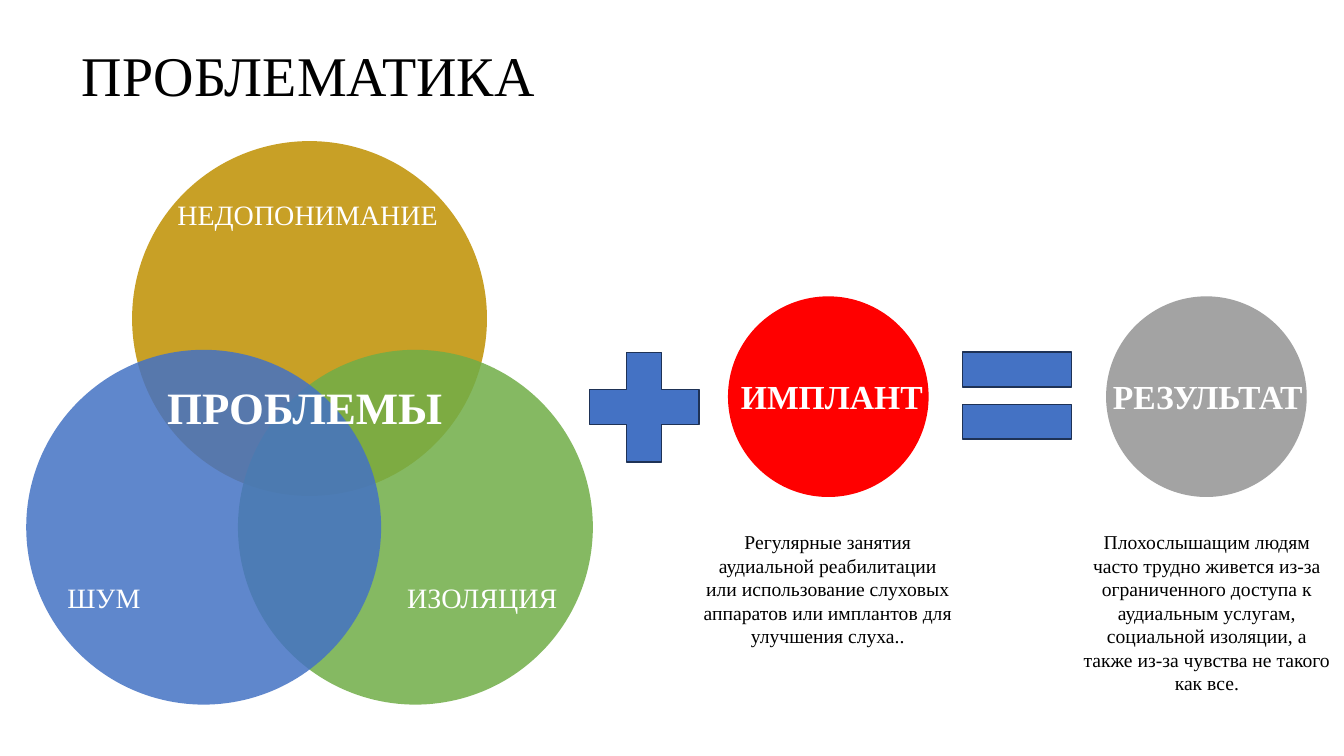
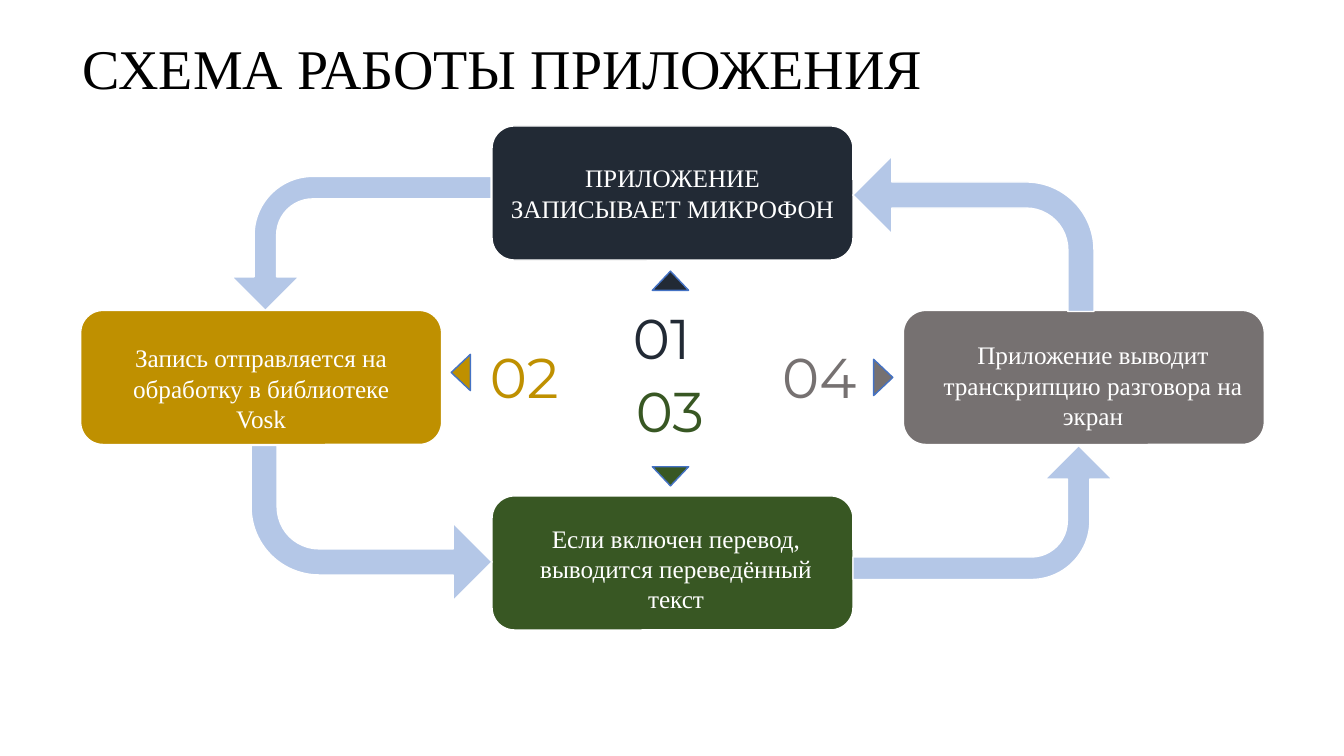
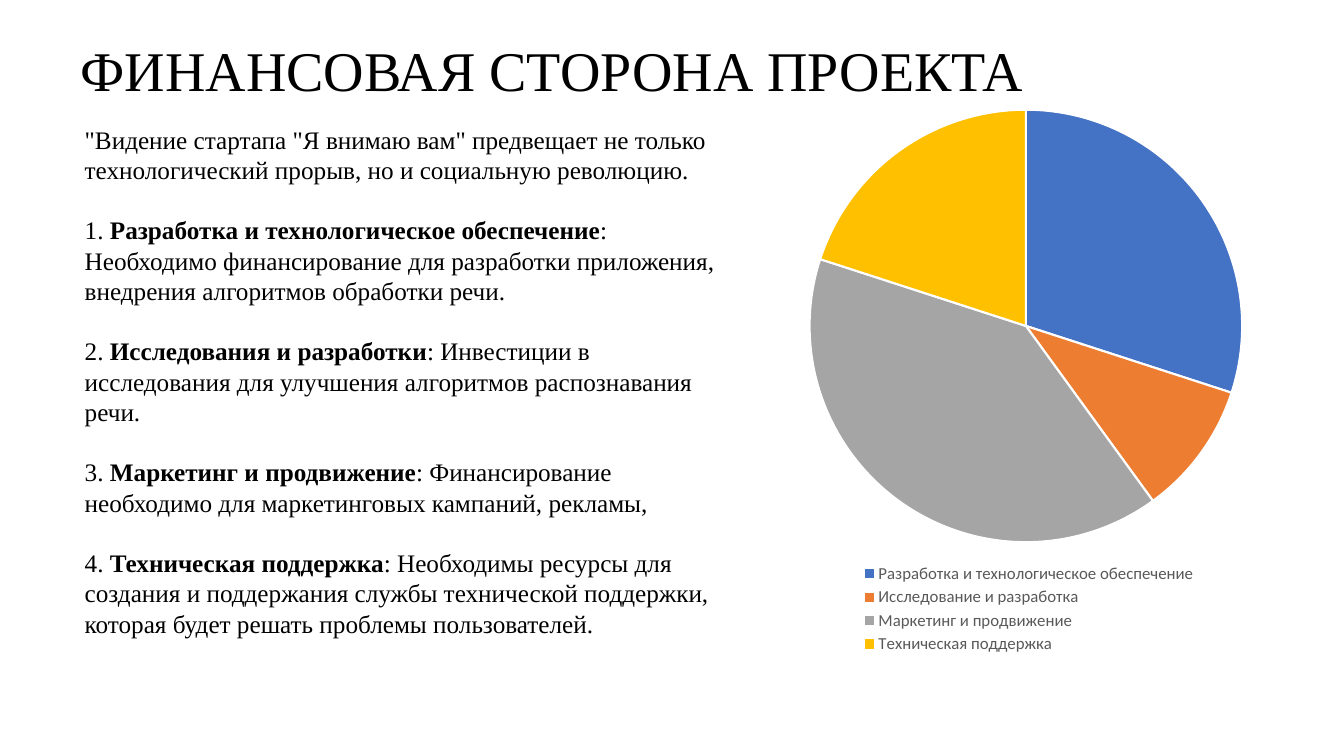
from dataclasses import dataclass
from typing import NamedTuple

from lxml import etree
from pptx import Presentation
from pptx.chart.data import CategoryChartData
from pptx.dml.color import RGBColor
from pptx.enum.chart import XL_CHART_TYPE, XL_LEGEND_POSITION
from pptx.enum.shapes import MSO_SHAPE
from pptx.enum.text import MSO_ANCHOR, MSO_AUTO_SIZE, PP_ALIGN
from pptx.oxml.ns import qn
from pptx.util import Emu, Pt

PX = 9144  # EMU per px, 100 px to the inch
ELLIPSE, ROUNDED = MSO_SHAPE.OVAL, MSO_SHAPE.ROUNDED_RECTANGLE
PLUS, EQUAL = MSO_SHAPE.MATH_PLUS, MSO_SHAPE.MATH_EQUAL
BENT_ARROW, TRIANGLE = MSO_SHAPE.BENT_ARROW, MSO_SHAPE.ISOSCELES_TRIANGLE
LEFT, CENTER = PP_ALIGN.LEFT, PP_ALIGN.CENTER
TOP, MIDDLE = MSO_ANCHOR.TOP, MSO_ANCHOR.MIDDLE

SERIF, NUMERAL_FONT, CHART_FONT = "Times New Roman", "Montserrat", "Calibri"
BLACK, WHITE, GREY_TEXT = "000000", "FFFFFF", "595959"
BLUE, DARK_BLUE, PALE_BLUE = "4472C4", "1E3256", "B4C7E7"
GOLD, GREEN, RED, GREY = "BF9000", "70AD47", "FF0000", "7C7C7C"
NAVY, FOREST, STONE = "222A35", "385723", "767171"
PIE_COLOURS = (BLUE, "ED7D31", "A5A5A5", "FFC000")


class Rect(NamedTuple):
    left: int
    top: int
    width: int
    height: int


@dataclass
class Style:
    size: int
    colour: str = WHITE
    font: str = SERIF
    bold: bool = False
    align: PP_ALIGN = LEFT


@dataclass
class Disc:
    rect: Rect
    colour: str
    opacity: int = 100


@dataclass
class Label:
    rect: Rect
    text: str
    style: Style


@dataclass
class Step:
    """One card of the cycle with its number and pointer; no label means text inside."""
    number: str
    colour: str
    left: int
    top: int
    text: str
    label: Rect | None
    number_rect: Rect
    pointer: Rect
    pointer_turn: int


@dataclass
class Turn:
    rect: Rect
    rotation: int


@dataclass
class Expense:
    lead: str
    heading: str
    detail: str


TITLE = Style(40, BLACK)
CARD_TEXT = Style(18, align=CENTER)
BODY = Style(18, BLACK)
CAPTION = Style(14, BLACK, align=CENTER)
TOPIC = Style(20)
DISC_NAME = Style(24, bold=True)

CIRCLE, DISC = 352, 199
CARD_WIDTH, CARD_HEIGHT = 358, 133

DISCS = [
    Disc(Rect(131, 140, CIRCLE, CIRCLE), GOLD, 85),
    Disc(Rect(236, 347, CIRCLE, CIRCLE), GREEN, 85),
    Disc(Rect(26, 347, CIRCLE, CIRCLE), BLUE, 85),
    Disc(Rect(722, 294, DISC, DISC), RED),
    Disc(Rect(1097, 294, DISC, DISC), GREY, 70),
]
LABELS = [
    Label(Rect(156, 372, 302, 64), "ПРОБЛЕМЫ", Style(32, bold=True)),
    Label(Rect(57, 571, 98, 44), "ШУМ", TOPIC),
    Label(Rect(166, 191, 281, 44), "НЕДОПОНИМАНИЕ", TOPIC),
    Label(Rect(394, 571, 171, 44), "ИЗОЛЯЦИЯ", TOPIC),
    Label(Rect(1094, 368, 214, 50), "РЕЗУЛЬТАТ", DISC_NAME),
    Label(Rect(725, 368, 202, 50), "ИМПЛАНТ", DISC_NAME),
    Label(Rect(1063, 521, 268, 175),
          "Плохослышащим людям часто трудно живется из-за ограниченного доступа "
          "к аудиальным услугам, социальной изоляции, а также из-за чувства не "
          "такого как все.", CAPTION),
    Label(Rect(687, 521, 268, 128),
          "Регулярные занятия аудиальной реабилитации или использование слуховых "
          "аппаратов или имплантов для улучшения слуха..", CAPTION),
]
STEPS = [
    Step("01", NAVY, 488, 125, "ПРИЛОЖЕНИЕ ЗАПИСЫВАЕТ МИКРОФОН", None,
         Rect(618, 296, 94, 77), Rect(647, 269, 36, 19), 0),
    Step("02", GOLD, 80, 308, "Запись отправляется на обработку в библиотеке Vosk",
         Rect(116, 335, 286, 101), Rect(476, 335, 99, 77), Rect(439, 360, 36, 19), 270),
    Step("03", FOREST, 488, 492, "Если включен перевод, выводится переведённый текст",
         Rect(510, 514, 321, 101), Rect(621, 369, 107, 77), Rect(647, 463, 36, 19), 180),
    Step("04", STONE, 896, 308, "Приложение выводит транскрипцию разговора на экран",
         Rect(922, 332, 324, 101), Rect(766, 335, 99, 77), Rect(858, 365, 36, 19), 90),
]
TURNS = [
    Turn(Rect(292, 113, 133, 257), 90),
    Turn(Rect(249, 442, 239, 154), 0),
    Turn(Rect(846, 155, 239, 154), 180),
    Turn(Rect(908, 380, 133, 257), 270),
]
EXPENSES = [
    Expense('"Видение стартапа "Я внимаю вам" предвещает не только '
            "технологический прорыв, но и социальную революцию.", "", ""),
    Expense("1. ", "Разработка и технологическое обеспечение",
            ": Необходимо финансирование для разработки приложения, "
            "внедрения алгоритмов обработки речи."),
    Expense("2. ", "Исследования и разработки",
            ": Инвестиции в исследования для улучшения алгоритмов распознавания речи."),
    Expense("3. ", "Маркетинг и продвижение",
            ": Финансирование необходимо для маркетинговых кампаний, рекламы,"),
    Expense("4. ", "Техническая поддержка",
            ": Необходимы ресурсы для создания и поддержания службы технической "
            "поддержки, которая будет решать проблемы пользователей."),
]
SHARES = {
    "Разработка и технологическое обеспечение": 30,
    "Исследование и разработка": 10,
    "Маркетинг и продвижение": 40,
    "Техническая поддержка": 20,
}


def rgb(colour: str) -> RGBColor:
    return RGBColor.from_string(colour)


def emu(rect: Rect) -> list[Emu]:
    return [Emu(length * PX) for length in rect]


def place(shape, rect: Rect) -> None:
    shape.left, shape.top, shape.width, shape.height = emu(rect)


def format_span(span, style: Style) -> None:
    font = span.font
    font.name, font.size, font.bold = style.font, Pt(style.size), style.bold
    font.color.rgb = rgb(style.colour)


def format_text(frame, style: Style, anchor=TOP) -> None:
    frame.word_wrap = True
    frame.auto_size = MSO_AUTO_SIZE.NONE
    frame.vertical_anchor = anchor
    for para in frame.paragraphs:
        para.alignment = style.align
        for span in para.runs:
            format_span(span, style)


def add_label(page, rect: Rect, text: str, style: Style) -> None:
    frame = page.shapes.add_textbox(*emu(rect)).text_frame
    frame.text = text
    format_text(frame, style)


def add_figure(page, kind, rect: Rect, colour: str, outline: str = "",
               opacity: int = 100, rotation: int = 0):
    figure = page.shapes.add_shape(kind, *emu(rect))
    figure.shadow.inherit = False
    figure.rotation = rotation
    figure.fill.solid()
    figure.fill.fore_color.rgb = rgb(colour)
    if opacity < 100:
        colour_element = figure.element.spPr.find(qn("a:solidFill"))[0]
        etree.SubElement(colour_element, qn("a:alpha"), val=str(opacity * 1000))
    if outline:
        figure.line.color.rgb = rgb(outline)
        figure.line.width = Pt(1)
    else:
        figure.line.fill.background()
    return figure


def add_page(deck, layout: str, title: str, rect: Rect):
    page = deck.slides.add_slide(deck.slide_layouts.get_by_name(layout))
    place(page.shapes.title, rect)
    frame = page.shapes.title.text_frame
    frame.text = title
    format_text(frame, TITLE)
    return page


def add_problem_page(deck) -> None:
    page = add_page(deck, "Title Only", "ПРОБЛЕМАТИКА", Rect(71, 35, 471, 77))
    for disc in DISCS:
        add_figure(page, ELLIPSE, disc.rect, disc.colour, opacity=disc.opacity)
    add_figure(page, PLUS, Rect(565, 330, 148, 148), BLUE, DARK_BLUE)
    add_figure(page, EQUAL, Rect(935, 319, 147, 147), BLUE, DARK_BLUE)
    for label in LABELS:
        add_label(page, label.rect, label.text, label.style)


def add_cycle_page(deck) -> None:
    page = add_page(deck, "Title Only", "СХЕМА РАБОТЫ ПРИЛОЖЕНИЯ", Rect(72, 28, 875, 77))
    for step in STEPS:
        card = add_figure(page, ROUNDED, Rect(step.left, step.top, CARD_WIDTH, CARD_HEIGHT),
                          step.colour, WHITE)
        if step.label:
            add_label(page, step.label, step.text, CARD_TEXT)
        else:
            card.text_frame.text = step.text
            format_text(card.text_frame, CARD_TEXT, MIDDLE)
        add_figure(page, TRIANGLE, step.pointer, step.colour, BLUE, rotation=step.pointer_turn)
        add_label(page, step.number_rect, step.number, Style(40, step.colour, NUMERAL_FONT))
    for turn in TURNS:
        arrow = add_figure(page, BENT_ARROW, turn.rect, PALE_BLUE, WHITE, rotation=turn.rotation)
        arrow.element.spPr.get_or_add_xfrm().set("flipV", "1")
        for index, value in enumerate((0.168, 0.25, 0.25, 0.438)):
            arrow.adjustments[index] = value


def fill_expenses(body) -> None:
    frame = body.text_frame
    for index, expense in enumerate(EXPENSES):
        para = frame.add_paragraph() if index else frame.paragraphs[0]
        para.space_before = Pt(21.6 if index else 0)
        properties = para._p.get_or_add_pPr()
        properties.set("marL", "0")
        properties.set("indent", "0")
        etree.SubElement(properties, qn("a:buNone"))
        for text in filter(None, (expense.lead, expense.heading, expense.detail)):
            para.add_run().text = text
    format_text(frame, BODY)
    for para in frame.paragraphs:
        for heading in para.runs[1:2]:
            heading.font.bold = True


def make_layout(inner: bool, **fractions: float):
    """Build a manual chart layout from fractions of the chart's size."""
    layout = etree.Element(qn("c:layout"))
    manual = etree.SubElement(layout, qn("c:manualLayout"))
    if inner:
        etree.SubElement(manual, qn("c:layoutTarget"), val="inner")
    for mode in ("xMode", "yMode"):
        etree.SubElement(manual, qn(f"c:{mode}"), val="edge")
    for name, value in fractions.items():
        etree.SubElement(manual, qn(f"c:{name}"), val=str(value))
    return layout


def add_share_chart(page, rect: Rect) -> None:
    data = CategoryChartData()
    data.categories = list(SHARES)
    data.add_series("Series 1", list(SHARES.values()))
    chart = page.shapes.add_chart(XL_CHART_TYPE.PIE, *emu(rect), data).chart
    chart.has_title = False
    chart.font.name, chart.font.size = CHART_FONT, Pt(10)
    chart.font.color.rgb = rgb(BLACK)
    chart.has_legend = True
    legend = chart.legend
    legend.position = XL_LEGEND_POSITION.BOTTOM
    legend.include_in_layout = False
    legend.font.name, legend.font.size = CHART_FONT, Pt(12)
    legend.font.color.rgb = rgb(GREY_TEXT)
    plot = chart.plots[0]
    plot.vary_by_categories = True
    for index, colour in enumerate(PIE_COLOURS):
        slice_format = plot.series[0].points[index].format
        slice_format.fill.solid()
        slice_format.fill.fore_color.rgb = rgb(colour)
        slice_format.line.color.rgb = rgb(WHITE)
        slice_format.line.width = Pt(1.5)
    for old_layout in chart.element.xpath(".//c:layout"):
        old_layout.getparent().remove(old_layout)
    plot_area = chart.element.xpath(".//c:plotArea")[0]
    plot_area.insert(0, make_layout(True, x=0.16, y=0.03, w=0.68, h=0.76))
    legend_position = chart.element.xpath(".//c:legendPos")[0]
    legend_position.addnext(make_layout(False, x=0.24, y=0.82, w=0.53, h=0.17))


def add_finance_page(deck) -> None:
    page = add_page(deck, "Title and Content", "ФИНАНСОВАЯ СТОРОНА ПРОЕКТА",
                    Rect(70, 30, 958, 77))
    body = page.placeholders[1]
    place(body, Rect(74, 118, 667, 586))
    fill_expenses(body)
    add_share_chart(page, Rect(702, 91, 631, 567))


def main() -> None:
    deck = Presentation()
    deck.slide_width, deck.slide_height = Emu(1333 * PX), Emu(750 * PX)
    add_problem_page(deck)
    add_cycle_page(deck)
    add_finance_page(deck)
    deck.save("out.pptx")


if __name__ == "__main__":
    main()
